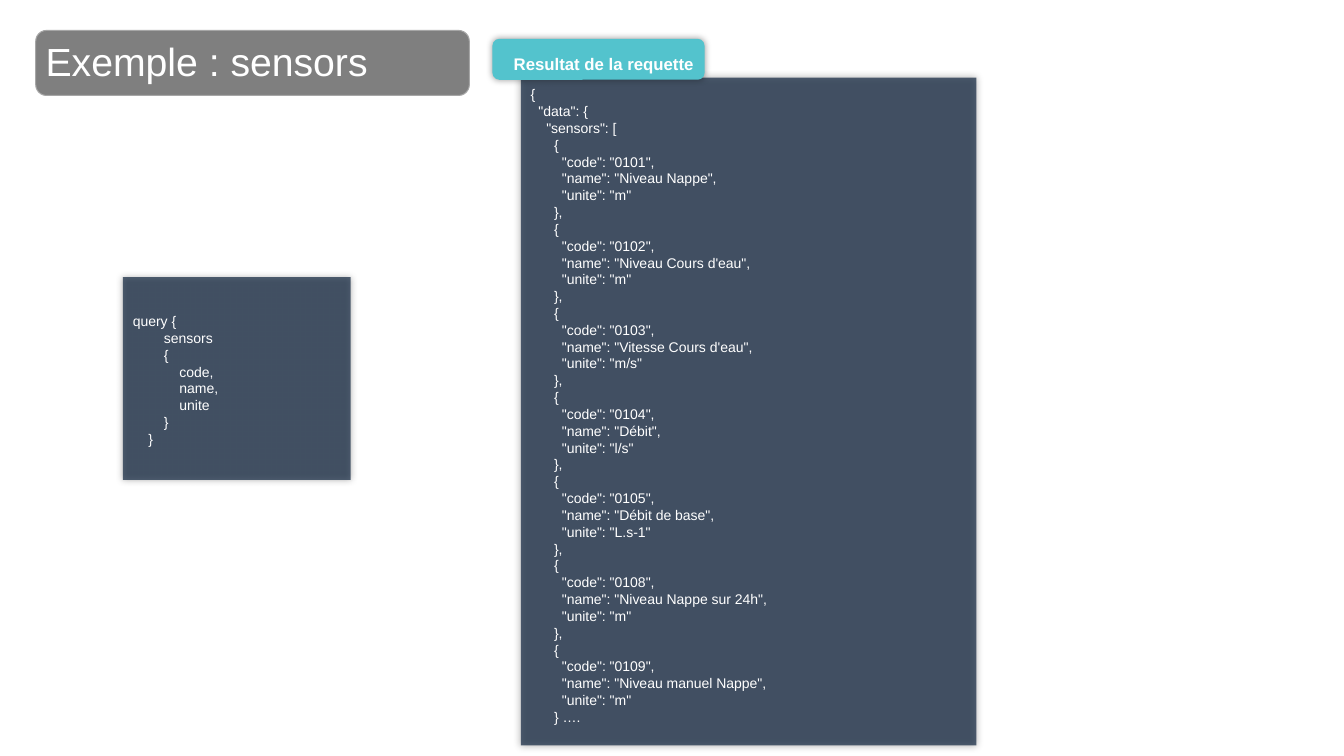
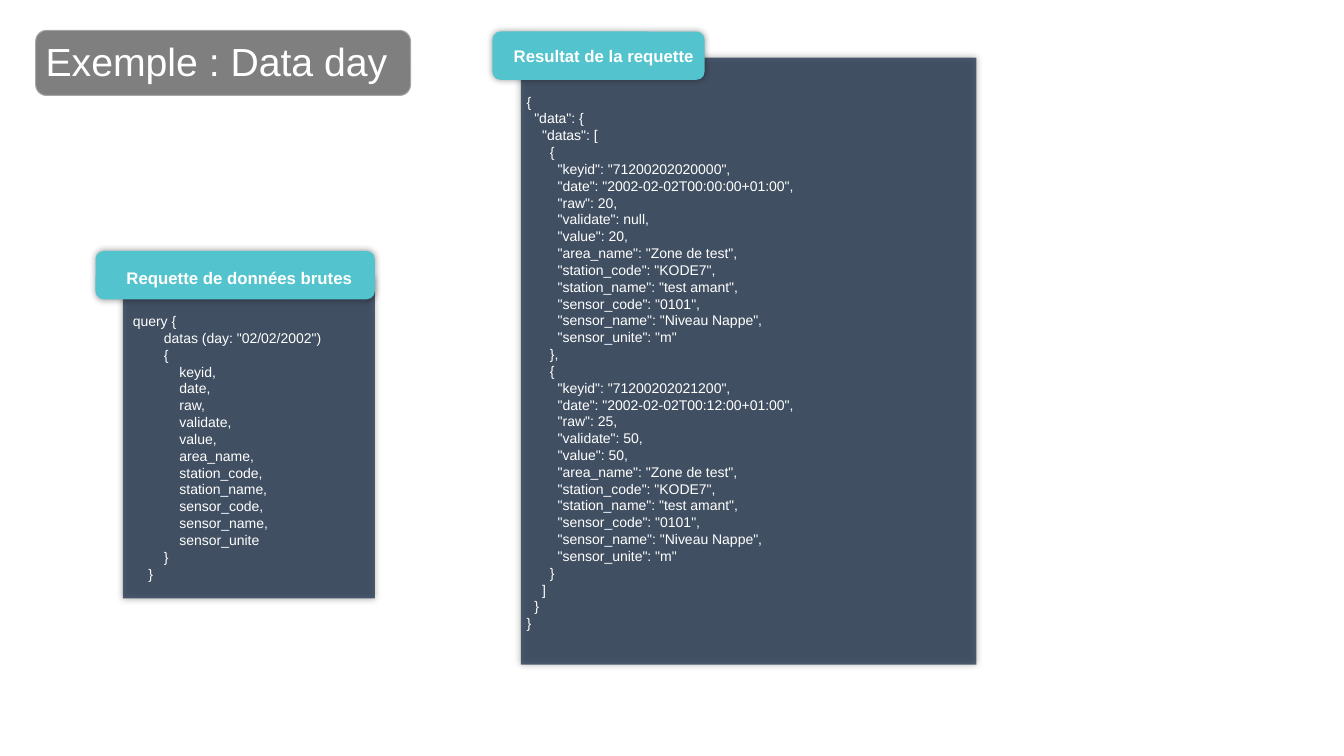
from dataclasses import dataclass

from lxml.etree import SubElement
from pptx import Presentation
from pptx.dml.color import RGBColor
from pptx.enum.shapes import MSO_SHAPE as Preset
from pptx.enum.text import MSO_AUTO_SIZE as AutoSize, PP_ALIGN as Align
from pptx.oxml.ns import qn
from pptx.shapes.autoshape import Shape
from pptx.slide import Slide
from pptx.util import Emu, Pt

EMU_PER_PX = 9525  # 96 px to the inch
SLIDE_WIDTH, SLIDE_HEIGHT = 1280, 720


@dataclass(frozen=True)
class Theme:
    font: str = "Arial"
    text: str = "FFFFFF"
    panel: str = "0F243E"
    panel_alpha: int = 70
    tab: str = "53C3CD"
    title: str = "000000"
    title_alpha: int = 50
    title_line: str = "A6A6A6"
    shadow: str = "000000"
    shadow_alpha: int = 40
    shadow_blur: float = 5
    title_size: int = 28
    tab_size: int = 12
    code_size: int = 10
    code_indent: float = 2.78  # points for each leading space


THEME = Theme()


@dataclass(frozen=True)
class Box:
    left: int
    top: int
    width: int
    height: int

    def emu(self) -> list[Emu]:
        return [Emu(px * EMU_PER_PX)
                for px in (self.left, self.top, self.width, self.height)]


@dataclass(frozen=True)
class Tab:
    label: str
    box: Box
    label_box: Box


@dataclass(frozen=True)
class CodePanel:
    box: Box
    code_box: Box
    code: list[str]
    tab: Tab | None = None


@dataclass(frozen=True)
class Example:
    title: str
    title_width: int
    title_text_width: int
    panels: list[CodePanel]


# Code listings
def query_code(source: str, fields: list[str]) -> list[str]:
    names = [" " * 12 + name + "," for name in fields]
    names[-1] = names[-1].rstrip(",")
    return ["query {", " " * 8 + source, " " * 8 + "{", *names, " " * 8 + "}", " " * 4 + "}"]


def result_code(source: str, fields: list[str], rows: list[tuple[str, ...]],
                ending: list[str]) -> list[str]:
    lines = ["{", '  "data": {', f'    "{source}": [']
    for row in rows:
        pairs = [f'        "{name}": {value}' for name, value in zip(fields, row)]
        lines += ["      {", *",\n".join(pairs).split("\n"), "      },"]
    return lines[:-1] + ending


SENSOR_FIELDS = ["code", "name", "unite"]
SENSORS = [
    ('"0101"', '"Niveau Nappe"', '"m"'),
    ('"0102"', '"Niveau Cours d\'eau"', '"m"'),
    ('"0103"', '"Vitesse Cours d\'eau"', '"m/s"'),
    ('"0104"', '"Débit"', '"l/s"'),
    ('"0105"', '"Débit de base"', '"L.s-1"'),
    ('"0108"', '"Niveau Nappe sur 24h"', '"m"'),
    ('"0109"', '"Niveau manuel Nappe"', '"m"'),
]
DATA_FIELDS = ["keyid", "date", "raw", "validate", "value", "area_name", "station_code",
               "station_name", "sensor_code", "sensor_name", "sensor_unite"]
STATION = ('"Zone de test"', '"KODE7"', '"test amant"', '"0101"', '"Niveau Nappe"', '"m"')
DATA_ROWS = [
    ('"71200202020000"', '"2002-02-02T00:00:00+01:00"', "20", "null", "20", *STATION),
    ('"71200202021200"', '"2002-02-02T00:12:00+01:00"', "25", "50", "50", *STATION),
]
RESULT_LABEL = "Resultat de la requette"

EXAMPLES = [
    Example("Exemple : sensors", 413, 552, [
        CodePanel(Box(117, 264, 217, 193), Box(117, 293, 230, 139),
                  query_code("sensors", SENSOR_FIELDS)),
        CodePanel(Box(496, 74, 434, 636), Box(496, 77, 421, 624),
                  result_code("sensors", SENSOR_FIELDS, SENSORS, ["      } …."]),
                  Tab(RESULT_LABEL, Box(469, 37, 202, 39), Box(478, 46, 194, 25))),
    ]),
    Example("Exemple : Data day", 357, 368, [
        CodePanel(Box(117, 264, 240, 306), Box(117, 293, 230, 268),
                  query_code('datas (day: "02/02/2002")', DATA_FIELDS),
                  Tab("Requette de données brutes",
                      Box(91, 239, 266, 46), Box(98, 250, 260, 29))),
        CodePanel(Box(496, 55, 434, 578), Box(492, 84, 421, 527),
                  result_code("datas", DATA_FIELDS, DATA_ROWS,
                              ["      }", "    ]", "  }", "}"]),
                  Tab(RESULT_LABEL, Box(469, 30, 202, 46), Box(478, 39, 194, 29))),
    ]),
]


# Drawing helpers
def add_filled(slide: Slide, preset: Preset, box: Box, color: str, alpha: int = 100) -> Shape:
    shape = slide.shapes.add_shape(preset, *box.emu())
    shape.fill.solid()
    shape.fill.fore_color.rgb = RGBColor.from_string(color)
    if alpha < 100:
        fill_color = shape._element.spPr.find(f"{qn('a:solidFill')}/{qn('a:srgbClr')}")
        SubElement(fill_color, qn("a:alpha"), val=str(alpha * 1000))
    shape.line.fill.background()
    shape.shadow.inherit = False
    return shape


def add_glow_shadow(shape: Shape) -> None:
    effects = shape._element.spPr.find(qn("a:effectLst"))
    shadow = SubElement(effects, qn("a:outerShdw"), blurRad=str(Pt(THEME.shadow_blur)),
                        dist="0", dir="0", algn="ctr", rotWithShape="0")
    color = SubElement(shadow, qn("a:srgbClr"), val=THEME.shadow)
    SubElement(color, qn("a:alpha"), val=str(THEME.shadow_alpha * 1000))


def add_text(slide: Slide, box: Box, lines: list[str], size: int, align: Align,
             bold: bool = False, spacing: float = 1.0, grow: bool = True) -> None:
    text_frame = slide.shapes.add_textbox(*box.emu()).text_frame
    text_frame.word_wrap = True
    text_frame.auto_size = AutoSize.SHAPE_TO_FIT_TEXT if grow else AutoSize.NONE
    text_frame.text = "\n".join(line.lstrip() for line in lines)
    for line, paragraph in zip(lines, text_frame.paragraphs):
        paragraph.alignment = align
        paragraph.line_spacing = spacing
        depth = len(line) - len(line.lstrip())
        if depth:
            paragraph._p.get_or_add_pPr().set("marL", str(Pt(depth * THEME.code_indent)))
        for run in paragraph.runs:
            run.font.name = THEME.font
            run.font.size = Pt(size)
            run.font.bold = bold
            run.font.color.rgb = RGBColor.from_string(THEME.text)


# Slide parts
def draw_panel(slide: Slide, panel: CodePanel) -> None:
    add_glow_shadow(add_filled(slide, Preset.RECTANGLE, panel.box,
                               THEME.panel, THEME.panel_alpha))
    if panel.tab:
        add_glow_shadow(add_filled(slide, Preset.ROUNDED_RECTANGLE, panel.tab.box, THEME.tab))
        add_text(slide, panel.tab.label_box, [panel.tab.label], THEME.tab_size,
                 Align.CENTER, bold=True)
    add_text(slide, panel.code_box, panel.code, THEME.code_size, Align.JUSTIFY)


def draw_title(slide: Slide, example: Example) -> None:
    band = add_filled(slide, Preset.ROUNDED_RECTANGLE, Box(34, 29, example.title_width, 62),
                      THEME.title, THEME.title_alpha)
    band.line.color.rgb = RGBColor.from_string(THEME.title_line)
    band.line.width = Pt(0.75)
    add_text(slide, Box(34, 36, example.title_text_width, 46), [example.title],
             THEME.title_size, Align.LEFT, spacing=0.9, grow=False)


def main() -> None:
    presentation = Presentation()
    presentation.slide_width = Emu(SLIDE_WIDTH * EMU_PER_PX)
    presentation.slide_height = Emu(SLIDE_HEIGHT * EMU_PER_PX)
    for example in EXAMPLES:
        slide = presentation.slides.add_slide(presentation.slide_layouts[6])
        for panel in example.panels:
            draw_panel(slide, panel)
        draw_title(slide, example)
    presentation.save("out.pptx")


if __name__ == "__main__":
    main()
